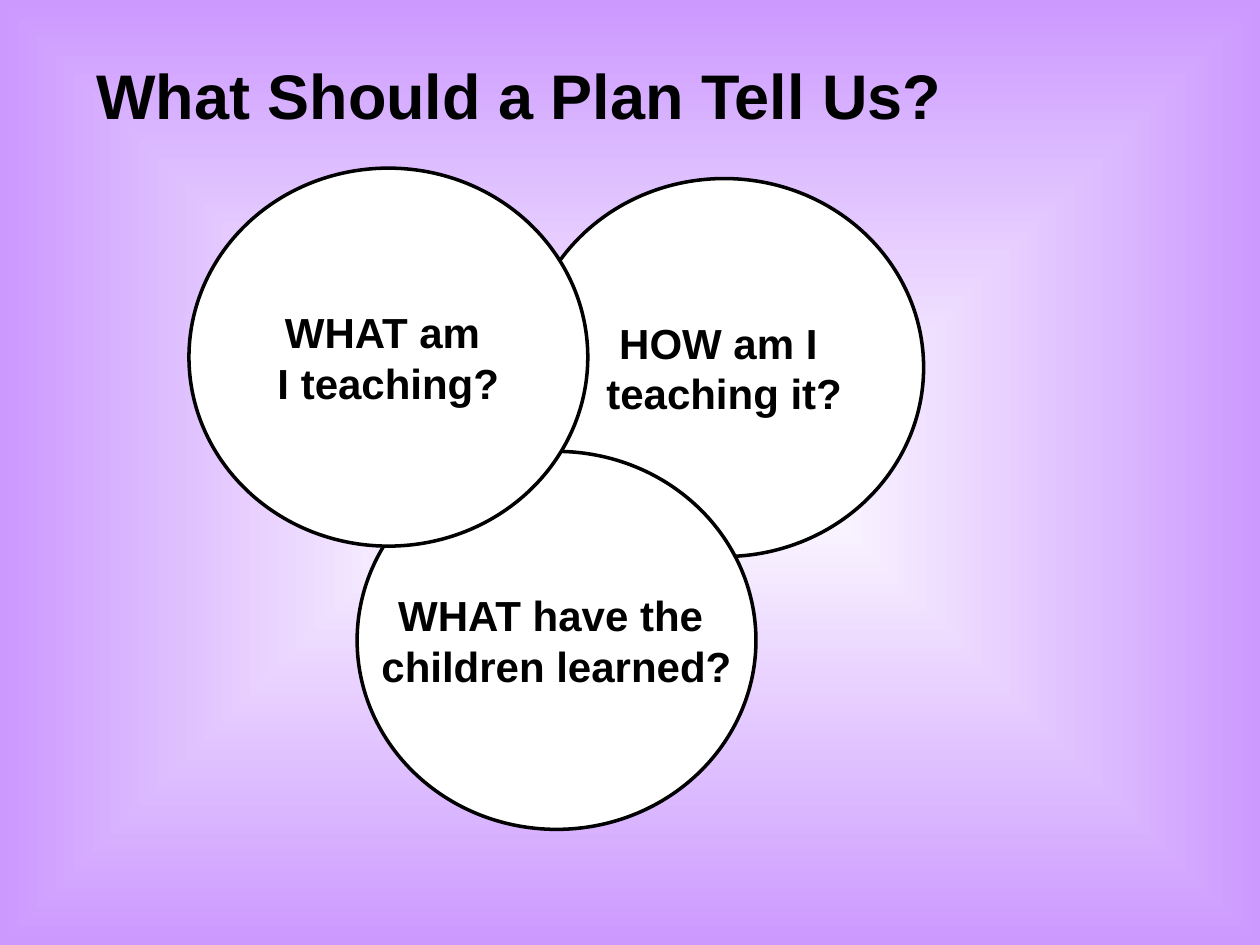
from lxml import etree
from pptx import Presentation
from pptx.dml.color import RGBColor
from pptx.enum.shapes import MSO_SHAPE
from pptx.enum.text import MSO_ANCHOR, MSO_AUTO_SIZE, PP_ALIGN
from pptx.oxml.ns import qn
from pptx.util import Cm, Pt

OVAL = MSO_SHAPE.OVAL
MIDDLE = MSO_ANCHOR.MIDDLE
NO_AUTOFIT = MSO_AUTO_SIZE.NONE
LEFT, CENTER = PP_ALIGN.LEFT, PP_ALIGN.CENTER

BLACK = RGBColor(0x00, 0x00, 0x00)
WHITE = RGBColor(0xFF, 0xFF, 0xFF)
LILAC = RGBColor(0xCC, 0x99, 0xFF)

CIRCLE_WIDTH, CIRCLE_HEIGHT = Cm(8.04), Cm(7.62)


class PlanSlide:
    """Holds the slide and the style shared by its elements."""

    font_name = "Arial"
    title_size = Pt(36)
    question_size = Pt(24)
    outline_width = Pt(2)

    def __init__(self, slide):
        self.slide = slide

    def background(self, centre, edge):
        fill = self.slide.background.fill
        fill.gradient()
        for stop, color in zip(fill.gradient_stops, (centre, edge)):
            stop.color.rgb = color
        # Turn the linear gradient into one that spreads from the middle
        gradient = self.slide.element.find(".//" + qn("a:gradFill"))
        gradient.remove(gradient.find(qn("a:lin")))
        spread = etree.SubElement(gradient, qn("a:path"), {"path": "rect"})
        etree.SubElement(spread, qn("a:fillToRect"),
                         dict.fromkeys("ltrb", "50000"))

    def set_text(self, frame, text, size, alignment):
        frame.text = text
        frame.vertical_anchor = MIDDLE
        frame.auto_size = NO_AUTOFIT
        for paragraph in frame.paragraphs:
            paragraph.alignment = alignment
            for run in paragraph.runs:
                run.font.name = self.font_name
                run.font.size = size
                run.font.bold = True
                run.font.color.rgb = BLACK

    def title(self, text, left, top, width, height):
        heading = self.slide.shapes.title
        heading.left, heading.top = left, top
        heading.width, heading.height = width, height
        self.set_text(heading.text_frame, text, self.title_size, LEFT)

    def question(self, text, left, top):
        circle = self.slide.shapes.add_shape(
            OVAL, left, top, CIRCLE_WIDTH, CIRCLE_HEIGHT)
        circle.shadow.inherit = False
        circle.fill.solid()
        circle.fill.fore_color.rgb = WHITE
        circle.line.color.rgb = BLACK
        circle.line.width = self.outline_width
        self.set_text(circle.text_frame, text, self.question_size, CENTER)
        circle.text_frame.word_wrap = False


def main():
    deck = Presentation()
    deck.slide_width, deck.slide_height = Cm(25.4), Cm(19.05)
    plan = PlanSlide(deck.slides.add_slide(deck.slide_layouts[5]))

    # Background and title
    plan.background(WHITE, LILAC)
    plan.title("What Should a Plan Tell Us?",
               Cm(1.69), Cm(0.85), Cm(21.59), Cm(2.12))

    # Overlapping questions, from back to front
    plan.question("HOW am I \nteaching it?", Cm(10.58), Cm(3.6))
    plan.question("WHAT have the \nchildren learned?", Cm(7.2), Cm(9.1))
    plan.question("WHAT am \nI teaching?", Cm(3.81), Cm(3.39))

    deck.save("out.pptx")


if __name__ == "__main__":
    main()
